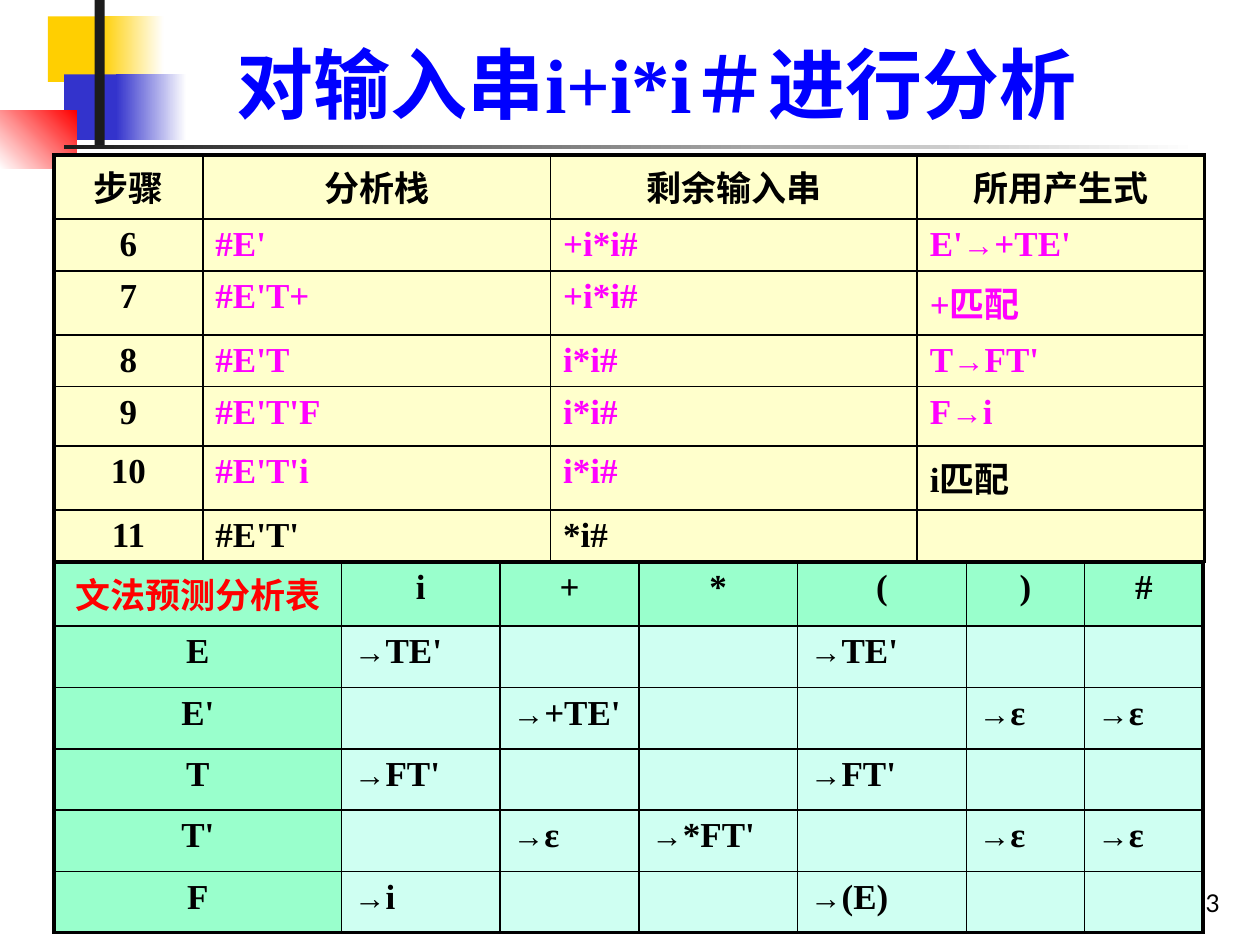
from dataclasses import dataclass

from lxml import etree
from pptx import Presentation
from pptx.dml.color import RGBColor
from pptx.enum.shapes import MSO_SHAPE
from pptx.enum.text import MSO_ANCHOR, MSO_AUTO_SIZE, PP_ALIGN
from pptx.oxml.ns import qn
from pptx.util import Inches, Pt

RECTANGLE = MSO_SHAPE.RECTANGLE
BOTTOM = MSO_ANCHOR.BOTTOM
NO_AUTOFIT = MSO_AUTO_SIZE.NONE
LEFT, CENTER, RIGHT = PP_ALIGN.LEFT, PP_ALIGN.CENTER, PP_ALIGN.RIGHT

SLIDE_WIDTH, SLIDE_HEIGHT = Inches(10), Inches(7.5)
GRID_COLUMNS = 100
ARROW = "→"


@dataclass(frozen=True)
class Theme:
    serif: str = "Times New Roman"
    sans: str = "Lato"
    title_size: float = 44
    cell_size: float = 20
    arrow_size: float = 18
    number_size: float = 14
    outer_line: float = 2.25
    inner_line: float = 1
    black: str = "000000"
    white: str = "FFFFFF"
    title: str = "0000FF"
    magenta: str = "FF00FF"
    red: str = "FF0000"
    gold: str = "FFCF01"
    indigo: str = "3333CC"
    charcoal: str = "1C1C1C"
    cream: str = "FFFFCC"
    mint: str = "99FFCC"
    pale_mint: str = "CFFFF2"


THEME = Theme()

BARS = [
    ((3.8, 1.3, 6.7, 5.2), (THEME.gold,), 0),
    ((8, 1.3, 5, 5.2), (THEME.gold, THEME.white), 0),
    ((5.1, 5.9, 6.4, 5.2), (THEME.indigo,), 0),
    ((9.2, 5.9, 5.6, 5.2), (THEME.indigo, THEME.white), 0),
    ((0, 8.8, 6.1, 4.6), (THEME.white, THEME.red), 45),
    ((7.5, 0, 0.8, 11.5), (THEME.charcoal,), 0),
    ((5.1, 11.5, 90, 0.3), (THEME.charcoal, THEME.white), 0),
]

STEPS = [
    ["步骤", "分析栈", "剩余输入串", "所用产生式"],
    ["6", "#E'", "+i*i#", "E'→+TE'"],
    ["7", "#E'T+", "+i*i#", "+匹配"],
    ["8", "#E'T", "i*i#", "T→FT'"],
    ["9", "#E'T'F", "i*i#", "F→i"],
    ["10", "#E'T'i", "i*i#", "i匹配"],
    ["11", "#E'T'", "*i#", ""],
]
STEP_COLUMNS = [11.8, 27.6, 29.1, 22.8]
STEP_ROWS = [5.1, 4.1, 5.1, 4.1, 4.7, 5.1, 4.1]

PREDICTIONS = [
    ["文法预测分析表", "i", "+", "*", "(", ")", "#"],
    ["E", "→TE'", "", "", "→TE'", "", ""],
    ["E'", "", "→+TE'", "", "", "→ε", "→ε"],
    ["T", "→FT'", "", "", "→FT'", "", ""],
    ["T'", "", "→ε", "→*FT'", "", "→ε", "→ε"],
    ["F", "→i", "", "", "→(E)", "", ""],
]
PREDICTION_COLUMNS = [22.8, 12.6, 11, 12.6, 13.4, 9.4, 9.4]
PREDICTION_ROWS = [5.1] + [4.87] * 5


def grid(units):
    return round(SLIDE_WIDTH * units / GRID_COLUMNS)


def rgb(color):
    return RGBColor.from_string(color)


def set_font(font, name, size, color, bold):
    font.name, font.size, font.bold = name, Pt(size), bold
    font.color.rgb = rgb(color)


def add_bar(slide, place, colors, angle):
    bar = slide.shapes.add_shape(RECTANGLE, *map(grid, place))
    bar.shadow.inherit = False
    bar.line.fill.background()
    if len(colors) == 1:
        bar.fill.solid()
        bar.fill.fore_color.rgb = rgb(colors[0])
        return
    bar.fill.gradient()
    bar.fill.gradient_angle = angle
    for stop, color in zip(bar.fill.gradient_stops, colors):
        stop.color.rgb = rgb(color)


def write_line(box, text, align, name, size, color, bold):
    frame = box.text_frame
    frame.word_wrap = True
    frame.auto_size = NO_AUTOFIT
    frame.vertical_anchor = BOTTOM
    para = frame.paragraphs[0]
    para.text, para.alignment = text, align
    set_font(para.font, name, size, color, bold)


def add_title(slide, text):
    title = slide.shapes.title
    title.left, title.top, title.width, title.height = map(grid, (12.6, 2.3, 79.1, 8.4))
    write_line(title, text, CENTER, THEME.serif, THEME.title_size, THEME.title, True)


def add_page_number(slide, text):
    box = slide.shapes.add_textbox(*map(grid, (77, 68.3, 20.8, 5)))
    write_line(box, text, RIGHT, THEME.sans, THEME.number_size, THEME.black, False)


def write_cell(cell, text, align, color):
    para = cell.text_frame.paragraphs[0]
    para.alignment = align
    set_font(para.font, THEME.serif, THEME.cell_size, color, True)
    before, arrow, after = text.partition(ARROW)
    for part in filter(None, (before, arrow, after)):
        span = para.add_run()
        span.text = part
        if part == ARROW:
            span.font.size = Pt(THEME.arrow_size)


def set_borders(cell, outer_sides):
    properties = cell._tc.get_or_add_tcPr()
    for position, side in enumerate("LRTB"):
        width = THEME.outer_line if side in outer_sides else THEME.inner_line
        line = etree.Element(qn(f"a:ln{side}"), w=str(Pt(width)))
        fill = etree.SubElement(line, qn("a:solidFill"))
        etree.SubElement(fill, qn("a:srgbClr"), val=THEME.black)
        properties.insert(position, line)


def outer_sides(row, column, last_row, last_column):
    edges = {"L": column == 0, "R": column == last_column, "T": row == 0, "B": row == last_row}
    return [side for side, is_outer in edges.items() if is_outer]


def add_grid_table(slide, left, top, widths, heights, texts, fill_of, color_of):
    place = map(grid, (left, top, sum(widths), sum(heights)))
    table = slide.shapes.add_table(len(heights), len(widths), *place).table
    table.first_row = table.horz_banding = False
    for column, width in zip(table.columns, widths):
        column.width = grid(width)
    for row, height in zip(table.rows, heights):
        row.height = grid(height)
    for r, row_texts in enumerate(texts):
        for c, text in enumerate(row_texts):
            cell = table.cell(r, c)
            cell.fill.solid()
            cell.fill.fore_color.rgb = rgb(fill_of(r, c))
            set_borders(cell, outer_sides(r, c, len(heights) - 1, len(widths) - 1))
            write_cell(cell, text, CENTER if r == 0 or c == 0 else LEFT, color_of(r, c))


def step_color(row, column):
    highlighted = 1 <= row <= 5 and column > 0 and (row, column) != (5, 3)
    return THEME.magenta if highlighted else THEME.black


def prediction_fill(row, column):
    return THEME.mint if row == 0 or column == 0 else THEME.pale_mint


def prediction_color(row, column):
    return THEME.red if row == column == 0 else THEME.black


def main():
    deck = Presentation()
    deck.slide_width, deck.slide_height = SLIDE_WIDTH, SLIDE_HEIGHT
    slide = deck.slides.add_slide(deck.slide_layouts[5])
    for bar in BARS:
        add_bar(slide, *bar)
    add_page_number(slide, "53")
    add_title(slide, "对输入串i+i*i＃进行分析")
    add_grid_table(slide, 4.3, 44.6, PREDICTION_COLUMNS, PREDICTION_ROWS, PREDICTIONS,
                   prediction_fill, prediction_color)
    add_grid_table(slide, 4.3, 12.3, STEP_COLUMNS, STEP_ROWS, STEPS,
                   lambda row, column: THEME.cream, step_color)
    deck.save("out.pptx")


if __name__ == "__main__":
    main()
